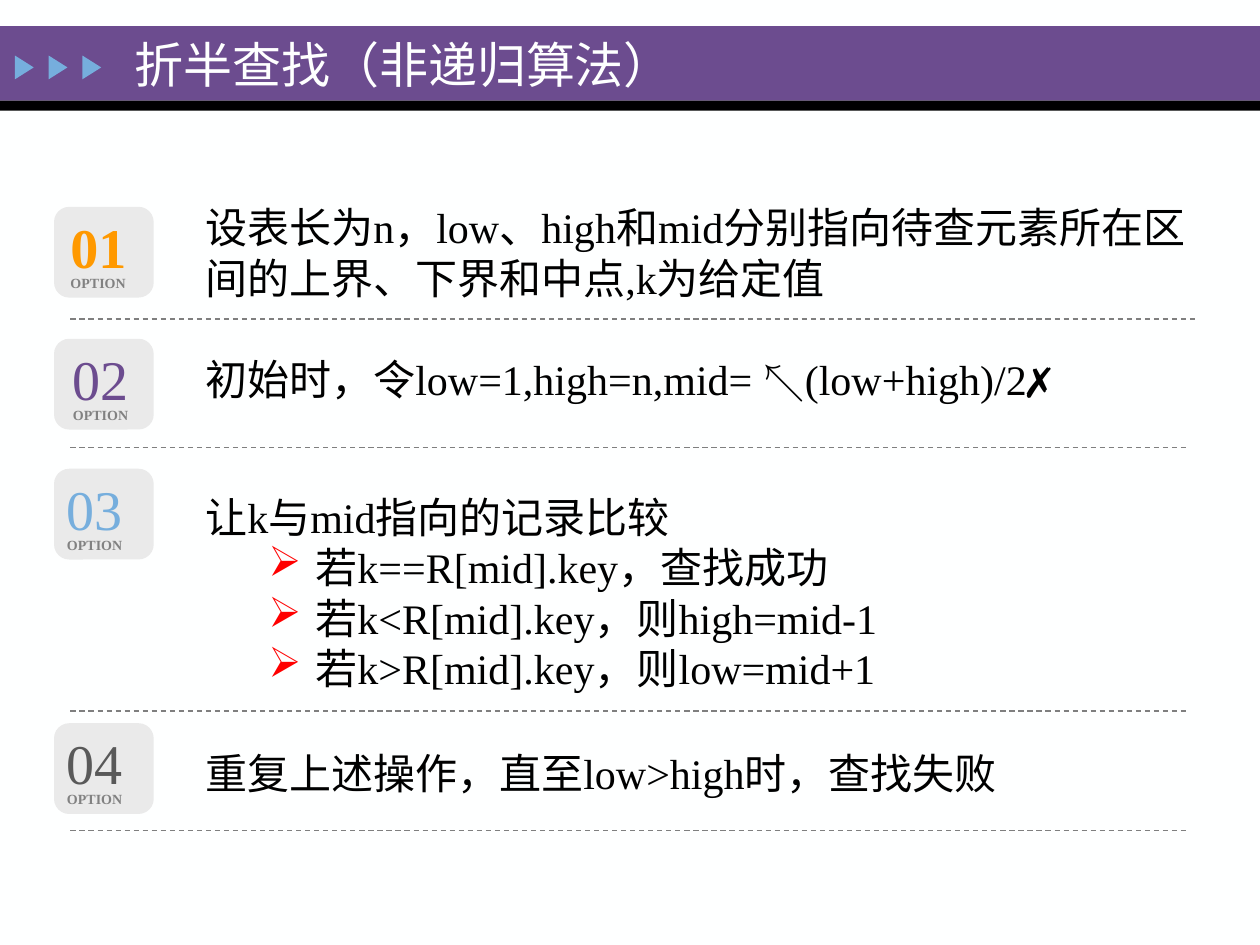
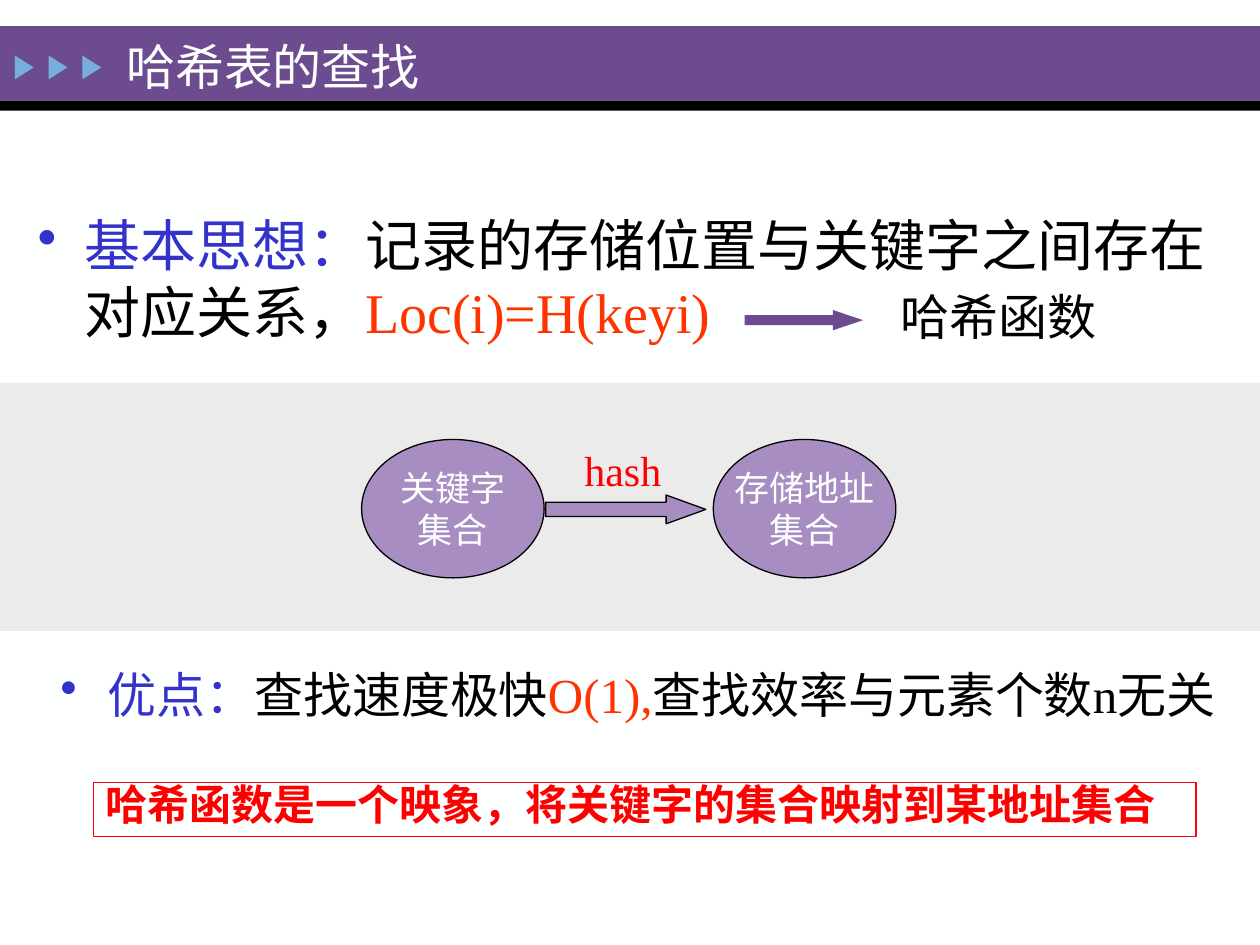
from lxml import etree
from pptx import Presentation
from pptx.dml.color import RGBColor
from pptx.enum import dml, shapes, text
from pptx.oxml import ns
from pptx.util import Cm, Pt


class Theme:
    font = "Times New Roman"
    paper, black, purple, sky = "FEFFFF", "000000", "6C4C8F", "76AEDD"
    lilac, card, band = "A78DC2", "EAEAEA", "EBEBEB"
    orange, slate, caption, rule = "FF9900", "595959", "818181", "7F7F7F"
    red, blue, vermilion = "FF0000", "3333CC", "FF3300"
    title, lead, point, body, node, number, label = 28, 32, 28, 24, 20, 32, 8
    line = 0.75


T = Theme
SHAPE = shapes.MSO_SHAPE
TOP, MIDDLE = text.MSO_ANCHOR.TOP, text.MSO_ANCHOR.MIDDLE
LEFT, CENTER = text.PP_ALIGN.LEFT, text.PP_ALIGN.CENTER

SEARCH_TITLE = ("折半查找（非递归算法）", (2.46, 0.58, 19, 1.42))
STEPS = [
    dict(number="01", color=T.orange, bold=True, left=1.42, card=4.17,
         body=(3.94, 2.31), rule=(6.43, 24.1), spacing=None,
         lines=[[("设表长为n，low、high和mid分别指向待查元素所在区间的上界、下界和中点,k为给定值",)]],
         cases=[]),
    dict(number="02", color=T.purple, bold=False, left=1.47, card=6.83,
         body=(7.11, 1.17), rule=(9.02, 23.9), spacing=0.9,
         lines=[[("初始时，令low=1,high=n,mid=",), (" ↖", T.black, True),
                 ("(low+high)/2",), ("✗", T.black, True)]],
         cases=[]),
    dict(number="03", color=T.sky, bold=False, left=1.35, card=9.45,
         body=(9.78, 4.29), rule=(14.33, 23.9), spacing=None,
         lines=[[("让k与mid指向的记录比较",)]],
         cases=["若k==R[mid].key，查找成功",
                "若k<R[mid].key，则high=mid-1",
                "若k>R[mid].key，则low=mid+1"]),
    dict(number="04", color=T.slate, bold=False, left=1.35, card=14.58,
         body=(14.94, 1.02), rule=(16.74, 23.9), spacing=None,
         lines=[[("重复上述操作，直至low>high时，查找失败",)]],
         cases=[]),
]

HASH_TITLE = ("哈希表的查找", (2.29, 0.38, 17.09, 1.91))
HASH_POINTS = [
    ((0.51, 4.11, 24.51, 3.61), T.lead,
     [("基本思想：", T.blue), ("记录的存储位置与关键字之间存在对应关系，",),
      ("Loc(i)=H(keyi)", T.vermilion)]),
    ((0.97, 13.28, 24.03, 1.45), T.point,
     [("优点：", T.blue), ("查找速度极快",), ("O(1),", T.vermilion),
      ("查找效率与元素个数n无关",)]),
]
HASH_LABELS = [
    ((17.91, 5.66, 4.6, 1.45), T.point, ("哈希函数",)),
    ((11.53, 8.84, 2.08, 1.3), T.body, ("hash", T.red)),
]
HASH_SETS = [(7.29, ["关键字", "集合"]), (14.38, ["存储地址", "集合"])]
HASH_ARROWS = [
    ((15.01, 6.25, 2.39, 0.41), 1.49, T.purple, None),
    ((11, 9.98, 3.23, 0.58), 1.38, T.lilac, T.black),
]
SUMMARY = "哈希函数是一个映象，将关键字的集合映射到某地址集合"


def rgb(color):
    return RGBColor.from_string(color)


def box(values):
    return [Cm(v) for v in values]


def write(tf, paragraphs, size, align=LEFT, anchor=TOP, wrap=True, spacing=None):
    tf.word_wrap = wrap
    tf.vertical_anchor = anchor
    for i, runs in enumerate(paragraphs):
        p = tf.paragraphs[0] if i == 0 else tf.add_paragraph()
        p.alignment = align
        p.line_spacing = spacing
        for content, color, bold in ((*run, T.black, False)[:1] + (
                run[1] if len(run) > 1 else T.black,
                run[2] if len(run) > 2 else False) for run in runs):
            r = p.add_run()
            r.text = content
            r.font.name, r.font.size, r.font.bold = T.font, Pt(size), bold
            r.font.color.rgb = rgb(color)
    return tf


def add_text(s, at, paragraphs, size, **style):
    tf = s.shapes.add_textbox(*box(at)).text_frame
    return write(tf, paragraphs, size, **style)


def add_bullet(p, char, margin, hanging, color=None):
    pPr = p._p.get_or_add_pPr()
    pPr.set("marL", str(Cm(margin)))
    pPr.set("indent", str(-Cm(hanging)))
    if color:
        clr = etree.SubElement(pPr, ns.qn("a:buClr"))
        etree.SubElement(clr, ns.qn("a:srgbClr"), val=color)
    etree.SubElement(pPr, ns.qn("a:buChar"), char=char)


def add_shape(s, kind, at, fill=None, line=None):
    sp = s.shapes.add_shape(kind, *box(at))
    sp.shadow.inherit = False
    if fill:
        sp.fill.solid()
        sp.fill.fore_color.rgb = rgb(fill)
    else:
        sp.fill.background()
    if line:
        sp.line.color.rgb = rgb(line)
        sp.line.width = Pt(T.line)
    else:
        sp.line.fill.background()
    return sp


def add_rule(s, y, right):
    line = s.shapes.add_connector(shapes.MSO_CONNECTOR.STRAIGHT,
                                  *box((1.42, y, right, y)))
    line.line.color.rgb = rgb(T.rule)
    line.line.width = Pt(T.line)
    line.line.dash_style = dml.MSO_LINE.DASH
    etree.SubElement(line._element.spPr, ns.qn("a:effectLst"))


def add_slide(prs, title, at):
    s = prs.slides.add_slide(prs.slide_layouts[5])
    add_shape(s, SHAPE.RECTANGLE, (0, 0.53, 25.4, 1.5), T.purple)
    add_shape(s, SHAPE.RECTANGLE, (0, 2.03, 25.4, 0.2), T.black)
    for i in range(3):
        marker = add_shape(s, SHAPE.ISOSCELES_TRIANGLE,
                           (0.25 + 0.68 * i, 1.17, 0.48, 0.38), T.sky)
        marker.rotation = 90
    heading = s.shapes.title
    heading.left, heading.top, heading.width, heading.height = box(at)
    write(heading.text_frame, [[(title, T.paper)]], T.title, anchor=MIDDLE)
    s.shapes._spTree.append(heading._element)
    return s


def add_step(s, step):
    left, card = step["left"], step["card"]
    add_shape(s, SHAPE.ROUNDED_RECTANGLE, (1.09, card, 2.01, 1.83), T.card)
    number = add_text(s, (left, card + 0.1, 1.4, 1.37),
                      [[(step["number"], step["color"], step["bold"])]],
                      T.number, anchor=MIDDLE)
    number.margin_left = number.margin_right = 0
    number.margin_top = number.margin_bottom = 0
    add_text(s, (left - 0.25, card + 1.24, 1.65, 0.61),
             [[("OPTION", T.caption, True)]], T.label, wrap=False)
    top, height = step["body"]
    cases = [[(case,)] for case in step["cases"]]
    tf = add_text(s, (3.89, top, 20.85, height), step["lines"] + cases,
                  T.body, spacing=step["spacing"])
    for p in tf.paragraphs[len(step["lines"]):]:
        p.level = 1
        add_bullet(p, "➢", 2.22, 0.95, T.red)
    add_rule(s, *step["rule"])


def build_search(prs):
    s = add_slide(prs, *SEARCH_TITLE)
    for step in STEPS:
        add_step(s, step)


def build_hash(prs):
    s = add_slide(prs, *HASH_TITLE)
    add_shape(s, SHAPE.RECTANGLE, (0, 7.72, 25.4, 5), T.band)
    for at, size, runs in HASH_POINTS:
        tf = add_text(s, at, [runs], size)
        add_bullet(tf.paragraphs[0], "•", 0.95, 0.95)
    for left, lines in HASH_SETS:
        node = add_shape(s, SHAPE.OVAL, (left, 8.86, 3.68, 2.79), T.lilac, T.black)
        write(node.text_frame, [[(line, T.paper)] for line in lines], T.node,
              align=CENTER, anchor=MIDDLE, wrap=False)
    for at, head, fill, line in HASH_ARROWS:
        arrow = add_shape(s, SHAPE.RIGHT_ARROW, at, fill, line)
        arrow.adjustments[1] = head
    for at, size, run in HASH_LABELS:
        add_text(s, at, [[run]], size)
    frame = add_shape(s, SHAPE.RECTANGLE, (1.88, 15.77, 22.23, 1.09), line=T.red)
    write(frame.text_frame, [[(SUMMARY, T.red, True)]], T.body, spacing=0.8)


def main():
    prs = Presentation()
    prs.slide_width, prs.slide_height = Cm(25.4), Cm(19.05)
    background = prs.slide_master.background.fill
    background.solid()
    background.fore_color.rgb = rgb(T.paper)
    build_search(prs)
    build_hash(prs)
    prs.save("out.pptx")


if __name__ == "__main__":
    main()
